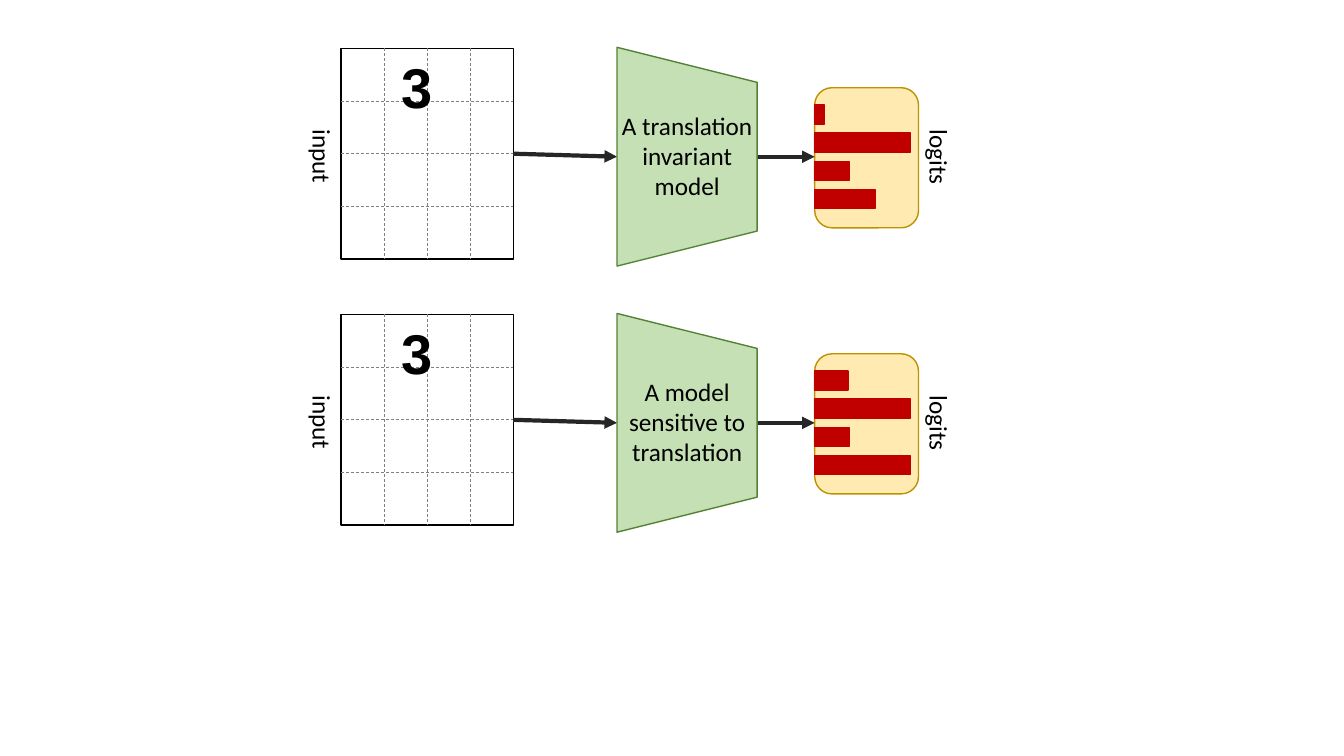
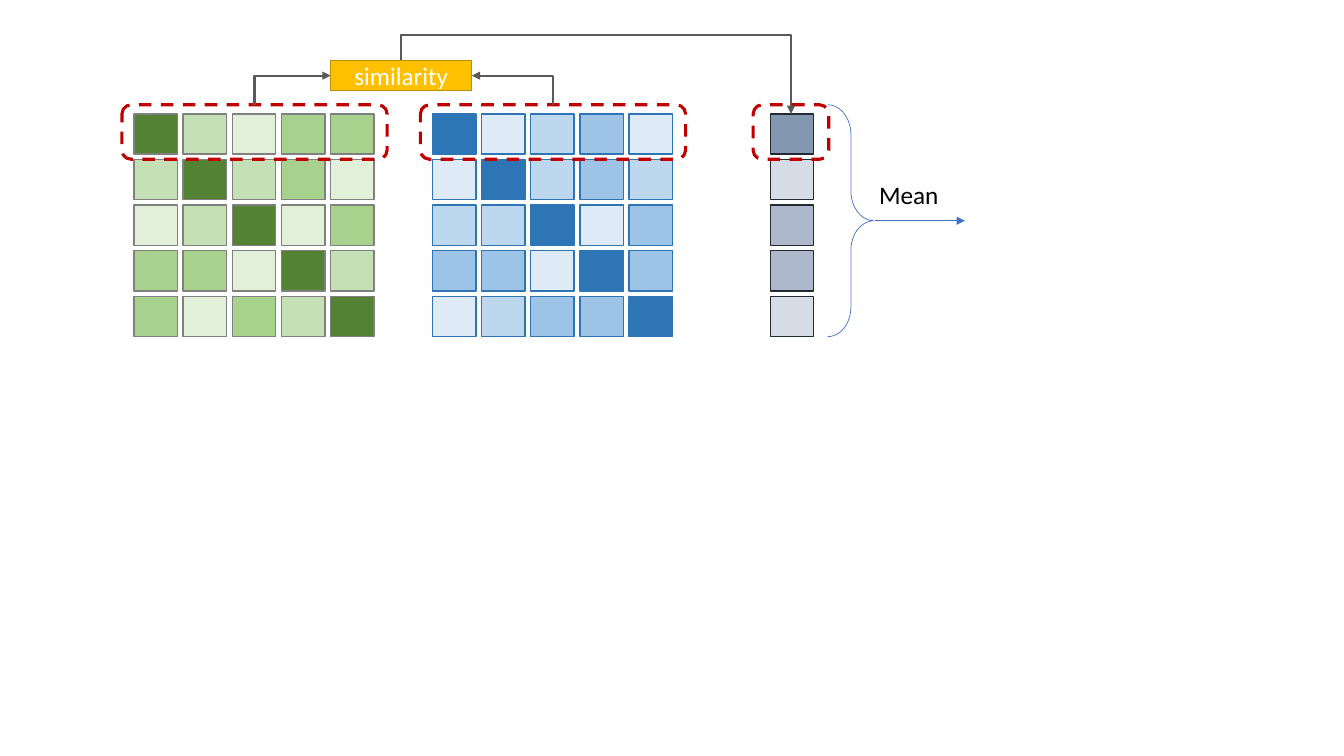
"""Builds two diagrams: translation-sensitive models and row-wise matrix similarity."""
from lxml.etree import SubElement
from pptx import Presentation
from pptx.dml.color import RGBColor
from pptx.enum.dml import MSO_LINE
from pptx.enum.shapes import MSO_CONNECTOR, MSO_SHAPE
from pptx.enum.text import MSO_ANCHOR, MSO_AUTO_SIZE, PP_ALIGN
from pptx.oxml.ns import qn
from pptx.util import Inches, Pt

PANELS = [
    ("A translation invariant model", [0.1, 0.95, 0.34, 0.6]),
    ("A model sensitive to translation", [0.33, 0.95, 0.34, 0.95]),
]
SIDE_LABELS = [("input", 3.0, 0.74), ("logits", 9.12, 0.78)]
PANEL_TOP, PANEL_PITCH = 0.48, 2.64
IMAGE_LEFT, IMAGE_W, IMAGE_H, IMAGE_PARTS = 3.38, 1.71, 2.09, 4
MODEL_LEFT, MODEL_W, MODEL_H = 6.12, 1.39, 2.17
LOGITS_LEFT, LOGITS_W, LOGITS_H = 8.08, 1.03, 1.39
BAR_H, BAR_PITCH = 0.19, 0.28

MATRICES = [
    {"left": 1.33, "line": "808080", "shades": ["E2F0D9", "C5E0B4", "A9D18E", "548235"],
     "rows": ["31022", "13120", "01302", "22031", "20213"]},
    {"left": 4.29, "line": "2E75B6", "shades": ["DEEBF7", "BDD7EE", "9DC3E6", "2E75B6"],
     "rows": ["30120", "03121", "11302", "22032", "01223"]},
    {"left": 7.64, "line": "222A35", "shades": ["D6DCE5", "ADB9CA", "8497B0"],
     "rows": ["2", "0", "1", "1", "0"]},
]
FRAMES = [(1.21, 2.63), (4.17, 2.63), (7.47, 0.75)]
CELL_W, CELL_H = 0.43, 0.4
CELL_TOP, COLUMN_PITCH, ROW_PITCH = 1.13, 1.95 / 4, 1.81 / 4
FRAME_TOP, FRAME_H = 1.04, 0.54
SIMILARITY = (3.28, 0.6, 1.4, 0.3)
CROSS_TOP = 0.35

DARK, GREY, BLUE, RED = "262626", "595959", "4472C4", "C00000"


def rgb(code):
    """Turn a hex string into a colour."""
    return RGBColor.from_string(code)


def unrotated(box, rotation):
    """Give the frame that covers box once it is turned."""
    left, top, width, height = box
    if rotation:
        left, top = left + (width - height) / 2, top + (height - width) / 2
        width, height = height, width
    return [Inches(v) for v in (left, top, width, height)]


def write(frame, text, size=18, font="Calibri", color="000000", bold=False, align=None):
    """Put one formatted run in a text frame."""
    paragraph = frame.paragraphs[0]
    if align is not None:
        paragraph.alignment = align
    run = paragraph.add_run()
    run.text = text
    run.font.size, run.font.name, run.font.bold = Pt(size), font, bold
    run.font.color.rgb = rgb(color)


def add_label(slide, text, box, rotation=0, wrap=False, inset=0.1, **style):
    """Add a text box covering box."""
    label = slide.shapes.add_textbox(*unrotated(box, rotation))
    label.rotation = rotation
    frame = label.text_frame
    frame.word_wrap = wrap
    frame.auto_size = MSO_AUTO_SIZE.SHAPE_TO_FIT_TEXT
    frame.margin_left = frame.margin_right = Inches(inset)
    write(frame, text, **style)


def add_block(slide, kind, box, line, fill=None, width=1, rotation=0, alpha=None, dash=None):
    """Add a preset shape covering box."""
    block = slide.shapes.add_shape(kind, *unrotated(box, rotation))
    block.rotation = rotation
    block.shadow.inherit = False
    block.line.color.rgb, block.line.width = rgb(line), Pt(width)
    if dash:
        block.line.dash_style = dash
    if fill:
        block.fill.solid()
        block.fill.fore_color.rgb = rgb(fill)
    else:
        block.fill.background()
    if alpha:
        color = block.fill._xPr.find(qn("a:solidFill"))[0]
        SubElement(color, qn("a:alpha")).set("val", str(alpha * 1000))
    return block


def add_line(slide, start, end, color, width, arrow=None, dash=None, kind=MSO_CONNECTOR.STRAIGHT):
    """Add a connector; arrow is headEnd or tailEnd."""
    line = slide.shapes.add_connector(kind, *[Inches(v) for v in (*start, *end)])
    line.line.color.rgb, line.line.width = rgb(color), Pt(width)
    if dash:
        line.line.dash_style = dash
    if arrow:
        SubElement(line.line._get_or_add_ln(), qn("a:" + arrow)).set("type", "triangle")
    SubElement(line._element.spPr, qn("a:effectLst"))
    return line


def add_corner(slide, tip, foot):
    """Add a one-bend arrow that rises from foot and points sideways at tip."""
    corner = add_line(slide, tip, foot, GREY, 1.5, "headEnd", kind=MSO_CONNECTOR.ELBOW)
    corner._element.spPr.find(qn("a:prstGeom")).set("prst", "bentConnector2")


def add_overpass(slide, start, end, top):
    """Add an arrow that rises to top, runs across and drops to end."""
    (x1, y1), (x2, y2) = start, end
    mid_x, mid_y, run, drop = (x1 + x2) / 2, (y1 + y2) / 2, x2 - x1, y2 - y1
    line = add_line(slide, (mid_x + drop / 2, mid_y - run / 2),
                    (mid_x - drop / 2, mid_y + run / 2), GREY, 1.5, "tailEnd",
                    kind=MSO_CONNECTOR.ELBOW)
    properties = line._element.spPr
    properties.find(qn("a:xfrm")).set("rot", str(270 * 60000))
    geometry = properties.find(qn("a:prstGeom"))
    guides = geometry.find(qn("a:avLst"))
    if guides is None:
        guides = SubElement(geometry, qn("a:avLst"))
    guide = SubElement(guides, qn("a:gd"))
    guide.set("name", "adj1")
    guide.set("fmla", f"val {round((top - y1) / drop * 100000)}")


def add_panel(slide, top, model, logits):
    """Draw input image, model and logits from left to right."""
    middle = top + IMAGE_H / 2
    axis = middle + 0.03
    right, bottom = IMAGE_LEFT + IMAGE_W, top + IMAGE_H
    add_block(slide, MSO_SHAPE.RECTANGLE, (IMAGE_LEFT, top, IMAGE_W, IMAGE_H),
              "000000", "FFFFFF", rotation=90)
    for part in range(1, IMAGE_PARTS):
        x = IMAGE_LEFT + IMAGE_W * part / IMAGE_PARTS
        y = top + IMAGE_H * part / IMAGE_PARTS
        for start, end in [((x, top), (x, bottom)), ((IMAGE_LEFT, y), (right, y))]:
            add_line(slide, start, end, "808080", 0.5, dash=MSO_LINE.DASH)
    add_label(slide, "3", (3.88, top - 0.01, 0.47, 0.63), wrap=True,
              size=40, font="Arial", bold=True)

    add_block(slide, MSO_SHAPE.ROUNDED_RECTANGLE,
              (LOGITS_LEFT, axis - LOGITS_H / 2 + 0.01, LOGITS_W, LOGITS_H),
              "BF9000", "FFD966", rotation=90, alpha=51)
    for row, length in enumerate(logits):
        bar_top = top + 0.56 + row * BAR_PITCH
        add_block(slide, MSO_SHAPE.RECTANGLE, (LOGITS_LEFT, bar_top, length, BAR_H),
                  RED, RED, rotation=90)
    add_line(slide, (right, middle), (MODEL_LEFT, axis), DARK, 3, "tailEnd")
    add_line(slide, (MODEL_LEFT + MODEL_W, axis), (LOGITS_LEFT, axis), DARK, 3, "tailEnd")
    add_block(slide, MSO_SHAPE.TRAPEZOID, (MODEL_LEFT, axis - MODEL_H / 2, MODEL_W, MODEL_H),
              "548235", "C5E0B4", rotation=90)
    add_label(slide, model, (MODEL_LEFT, top + 0.56, MODEL_W, 1.01), wrap=True, inset=0.04,
              align=PP_ALIGN.CENTER)
    for text, left, length in SIDE_LABELS:
        add_label(slide, text, (left, axis - 0.37, 0.4, length), rotation=90)


def add_matrix(slide, matrix):
    """Draw a grid of cells shaded by level."""
    for row, levels in enumerate(matrix["rows"]):
        for column, level in enumerate(levels):
            box = (matrix["left"] + column * COLUMN_PITCH, CELL_TOP + row * ROW_PITCH,
                   CELL_W, CELL_H)
            add_block(slide, MSO_SHAPE.RECTANGLE, box, matrix["line"],
                      matrix["shades"][int(level)])


def add_similarity(slide):
    """Draw the matrices, their compared rows and the mean."""
    for matrix in MATRICES:
        add_matrix(slide, matrix)
    for left, width in FRAMES:
        add_block(slide, MSO_SHAPE.ROUNDED_RECTANGLE, (left, FRAME_TOP, width, FRAME_H),
                  RED, width=2.25, dash=MSO_LINE.DASH)
    left, top, width, height = SIMILARITY
    first, second, result = [x + w / 2 for x, w in FRAMES]
    add_corner(slide, (left, top + height / 2), (first, FRAME_TOP))
    box = add_block(slide, MSO_SHAPE.RECTANGLE, SIMILARITY, "BD8E00", "FFC000")
    box.text_frame.vertical_anchor = MSO_ANCHOR.MIDDLE
    write(box.text_frame, "similarity", color="FFFFFF", align=PP_ALIGN.CENTER)
    add_corner(slide, (left + width, top + height / 2), (second, FRAME_TOP))
    add_overpass(slide, (left + width / 2, top), (result, CELL_TOP), CROSS_TOP)

    brace_h = 2.3
    brace = add_block(slide, MSO_SHAPE.RIGHT_BRACE, (8.21, FRAME_TOP, 0.46, brace_h),
                      BLUE, width=0.5)
    brace.adjustments[0], brace.adjustments[1] = 0.64, 0.5
    add_label(slide, "Mean", (8.62, 1.73, 0.8, 0.4))
    tip = FRAME_TOP + brace_h / 2
    add_line(slide, (8.68, tip), (9.57, tip), BLUE, 0.5, "tailEnd")


def main():
    """Build and save both slides."""
    deck = Presentation()
    deck.slide_width, deck.slide_height = Inches(13.33), Inches(7.5)
    blank = deck.slide_layouts[6]
    models = deck.slides.add_slide(blank)
    for index, (model, logits) in enumerate(PANELS):
        add_panel(models, PANEL_TOP + index * PANEL_PITCH, model, logits)
    add_similarity(deck.slides.add_slide(blank))
    deck.save("out.pptx")


if __name__ == "__main__":
    main()
